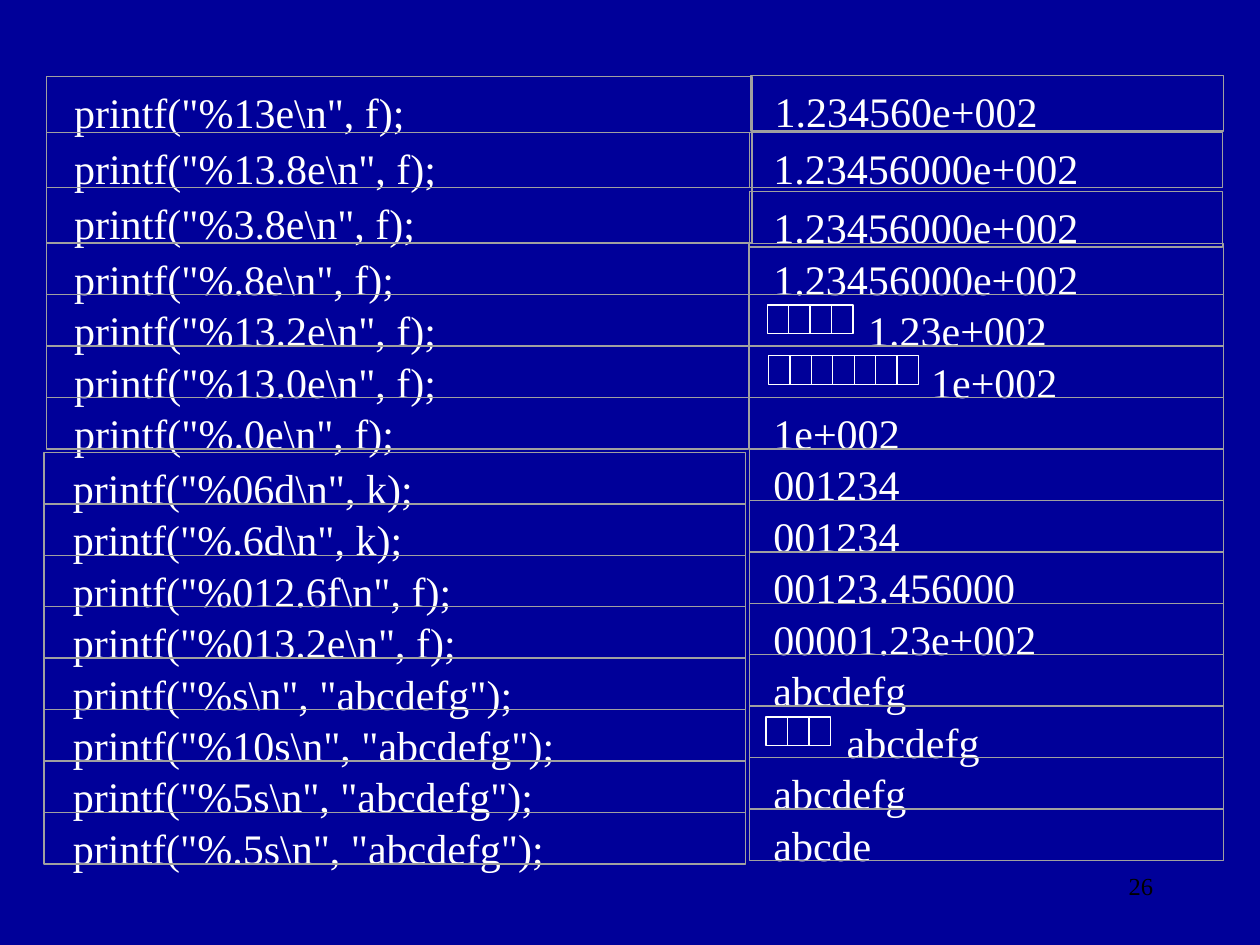
from pptx import Presentation
from pptx.dml.color import RGBColor
from pptx.enum import shapes, text
from pptx.util import Inches, Pt

NAVY = RGBColor(0x00, 0x00, 0x99)
WHITE = RGBColor(0xFF, 0xFF, 0xFF)
GREY = RGBColor(0xA0, 0xA0, 0xA0)
BLACK = RGBColor(0x00, 0x00, 0x00)

prs = Presentation()
prs.slide_width, prs.slide_height = Inches(10), Inches(7.5)
slide = prs.slides.add_slide(prs.slide_layouts[6])
slide.background.fill.solid()
slide.background.fill.fore_color.rgb = NAVY


def add_text(words, left, top, width, height, size=24, color=WHITE,
             align=text.PP_ALIGN.JUSTIFY, indent=0):
    box = slide.shapes.add_textbox(Inches(left), Inches(top), Inches(width), Inches(height))
    frame = box.text_frame
    frame.word_wrap = True
    frame.margin_left = Inches(0.1 + indent)
    frame.margin_top = Inches(0.08)
    paragraph = frame.paragraphs[0]
    paragraph.text = words
    paragraph.alignment = align
    paragraph.font.name = "Times New Roman"
    paragraph.font.size = Pt(size)
    paragraph.font.color.rgb = color


def add_outline(left, top, width, height, color, weight):
    outline = slide.shapes.add_shape(shapes.MSO_SHAPE.RECTANGLE, Inches(left), Inches(top),
                                     Inches(width), Inches(height))
    outline.shadow.inherit = False
    outline.fill.background()
    outline.line.color.rgb = color
    outline.line.width = Pt(weight)


# Blocks of rows: left, top, width, row height, row pitch, text inset, rows
PITCH = (6.42 - 1.93) / 11
blocks = [
    # Calls
    (0.37, 0.61, 5.6, 0.44, 0.44, 0.12, [
        r'printf("%13e\n", f);',
        r'printf("%13.8e\n", f);',
        r'printf("%3.8e\n", f);']),
    (0.37, 1.93, 5.57, 0.41, PITCH, 0.12, [
        r'printf("%.8e\n", f);',
        r'printf("%13.2e\n", f);',
        r'printf("%13.0e\n", f);',
        r'printf("%.0e\n", f);']),
    (0.35, 3.59, 5.57, 0.41, PITCH, 0.13, [
        r'printf("%06d\n", k);',
        r'printf("%.6d\n", k);',
        r'printf("%012.6f\n", f);',
        r'printf("%013.2e\n", f);',
        r'printf("%s\n", "abcdefg");',
        r'printf("%10s\n", "abcdefg");',
        r'printf("%5s\n", "abcdefg");',
        r'printf("%.5s\n", "abcdefg");']),
    # Outputs
    (5.96, 0.6, 3.75, 0.44, 0, 0.09, ["1.234560e+002"]),
    (5.95, 1.05, 3.75, 0.44, 0.47, 0.09, ["1.23456000e+002", "1.23456000e+002"]),
    (5.95, 1.93, 3.76, 0.41, PITCH, 0.09, [
        "1.23456000e+002", "1.23e+002", "1e+002", "1e+002", "001234", "001234",
        "00123.456000", "00001.23e+002", "abcdefg", "abcdefg", "abcdefg", "abcde"]),
]
# Outputs padded on the left: (block, row) -> indent
padded = {(5, 1): 0.75, (5, 2): 1.25, (5, 9): 0.58}

for block, (left, top, width, height, pitch, inset, rows) in enumerate(blocks):
    for row, words in enumerate(rows):
        y = top + row * pitch
        add_text(words, left + inset, y, width - 2 * inset, height,
                 indent=padded.get((block, row), 0))
        add_outline(left, y, width, height, GREY, 0)

# Small squares standing for the padding blanks
SQUARE = 0.17
for left, top, count in [(6.09, 2.42, 4), (6.1, 2.82, 7), (6.08, 5.69, 3)]:
    for blank in range(count):
        add_outline(left + blank * SQUARE, top, SQUARE, 0.23, WHITE, 0.75)

# Page number
add_text("26", 7.17, 6.83, 2.08, 0.5, size=14, color=BLACK, align=text.PP_ALIGN.RIGHT)

prs.save("out.pptx")
